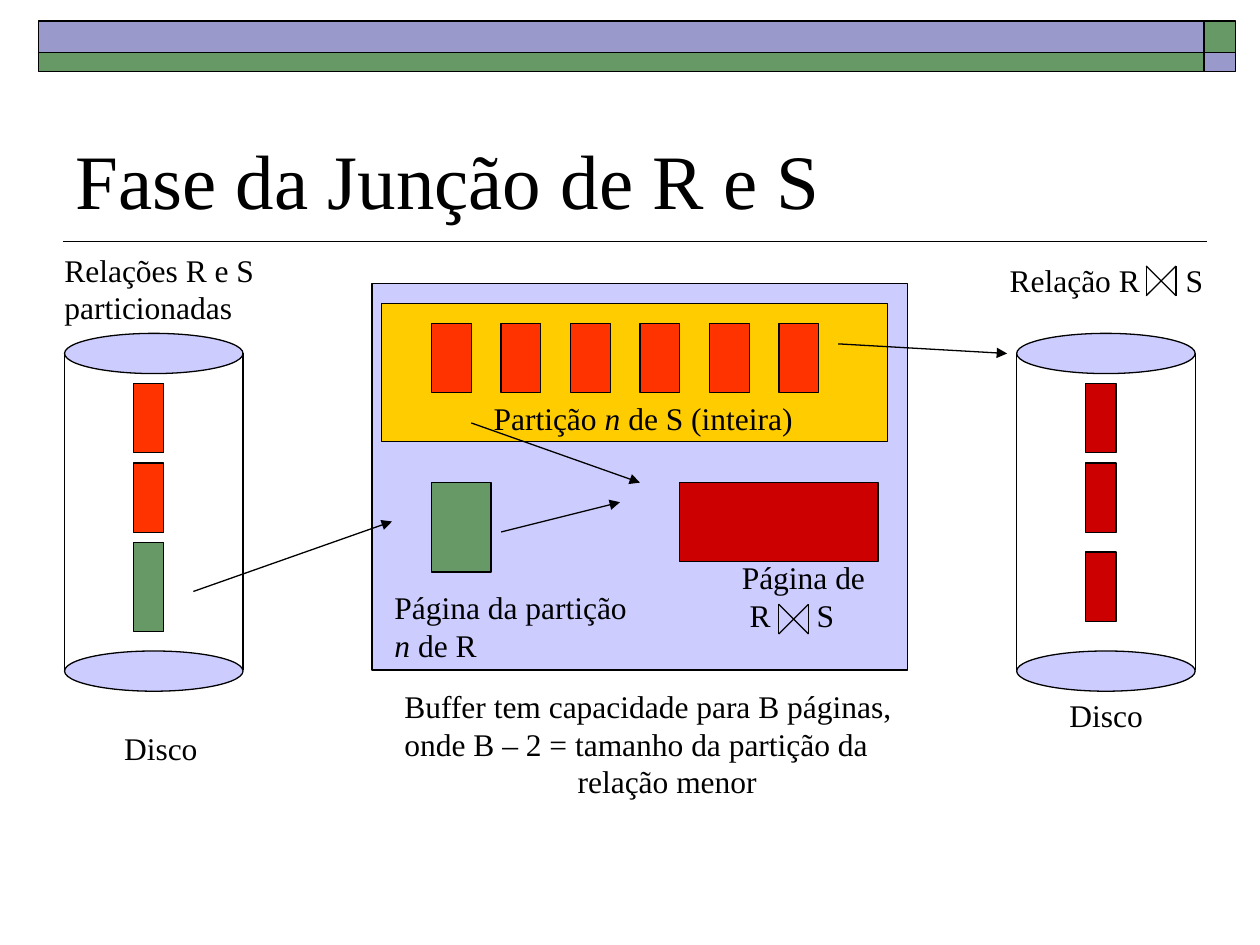
from lxml import etree
from pptx import Presentation
from pptx.dml.color import RGBColor
from pptx.enum.shapes import MSO_CONNECTOR as CONNECTOR, MSO_SHAPE as SHAPE
from pptx.enum.text import MSO_ANCHOR as ANCHOR, MSO_AUTO_SIZE as AUTO_SIZE, PP_ALIGN as ALIGN
from pptx.oxml.ns import qn
from pptx.util import Pt

FONT = "Times New Roman"
COLORS = {
    "ink": "000000",
    "violet": "9999CC",
    "lavender": "CCCCFF",
    "green": "669966",
    "yellow": "FFCC00",
    "orange": "FF3300",
    "red": "CC0000",
}


def color(name):
    return RGBColor.from_string(COLORS[name])


def add_box(slide, left, top, width, height, fill, kind=SHAPE.RECTANGLE, weight=0.75):
    shape = slide.shapes.add_shape(kind, Pt(left), Pt(top), Pt(width), Pt(height))
    shape.shadow.inherit = False
    shape.fill.solid()
    shape.fill.fore_color.rgb = color(fill)
    shape.line.color.rgb = color("ink")
    shape.line.width = Pt(weight)


def add_line(slide, x1, y1, x2, y2, arrow=False, weight=0.75):
    line = slide.shapes.add_connector(CONNECTOR.STRAIGHT, Pt(x1), Pt(y1), Pt(x2), Pt(y2))
    line.line.color.rgb = color("ink")
    line.line.width = Pt(weight)
    properties = line._element.spPr
    if arrow:
        etree.SubElement(properties.find(qn("a:ln")), qn("a:tailEnd"), type="triangle")
    etree.SubElement(properties, qn("a:effectLst"))


def style(paragraph, size):
    paragraph.alignment = ALIGN.LEFT
    paragraph.font.name = FONT
    paragraph.font.size = Pt(size)
    paragraph.font.color.rgb = color("ink")


def add_text(slide, left, top, width, lines, last_indent=0):
    """Each line is a list of runs; the run "n" is a variable, in italics."""
    height = 7.2 + 21.6 * len(lines)
    box = slide.shapes.add_textbox(Pt(left), Pt(top), Pt(width), Pt(height))
    frame = box.text_frame
    frame.word_wrap = True
    for index, runs in enumerate(lines):
        paragraph = frame.add_paragraph() if index else frame.paragraphs[0]
        for text in runs:
            run = paragraph.add_run()
            run.text = text
            if text == "n":
                run.font.italic = True
        style(paragraph, 18)
    if last_indent:
        paragraph._p.get_or_add_pPr().set("marL", str(Pt(last_indent)))


def add_title(slide, text):
    title = slide.shapes.title
    title.left, title.top, title.width, title.height = Pt(36), Pt(42), Pt(648), Pt(90)
    frame = title.text_frame
    frame.text = text
    frame.vertical_anchor = ANCHOR.BOTTOM
    frame.auto_size = AUTO_SIZE.NONE
    style(frame.paragraphs[0], 44)


def add_header(slide):
    add_line(slide, 36, 138, 690, 138, weight=1)
    for left, width, fills in ((22, 666, ("violet", "green")),
                               (688, 18, ("green", "violet"))):
        for top, height, fill in zip((12, 30), (18, 11), fills):
            add_box(slide, left, top, width, height, fill, weight=1)


def add_disk(slide, left, pages):
    """A cylinder holding pages, each given as top, height and fill."""
    width, cap = 102, 23
    for top in (190.5, 372):
        add_box(slide, left, top, width, cap, "lavender", SHAPE.OVAL)
    for x in (left, left + width):
        add_line(slide, x, 202, x, 383)
    for top, height, fill in pages:
        add_box(slide, left + 39.5, top, 17.3, height, fill)


def add_join_sign(slide, left, top):
    right, bottom = left + 17, top + 17
    for x in (left, right):
        add_line(slide, x, top, x, bottom)
    add_line(slide, left, top, right, bottom)
    add_line(slide, left, bottom, right, top)


def add_buffer(slide):
    add_box(slide, 212.5, 162, 306, 221, "lavender")
    add_box(slide, 218, 173.5, 289, 79, "yellow")
    for index in range(6):
        add_box(slide, 246.6 + 39.7 * index, 184.7, 22.7, 39.7, "orange")
    add_box(slide, 246.6, 275.8, 34, 51, "green")
    add_box(slide, 388.3, 275.8, 113.5, 45, "red")


def main():
    presentation = Presentation()
    presentation.slide_width, presentation.slide_height = Pt(720), Pt(540)
    slide = presentation.slides.add_slide(presentation.slide_layouts[5])

    add_header(slide)
    add_title(slide, "Fase da Junção de R e S")

    # Memory buffer between the two disks
    add_buffer(slide)
    add_disk(slide, 36.9, [(219, 39.7, "orange"), (264.5, 39.7, "orange"),
                           (309.8, 51, "green")])
    add_disk(slide, 581, [(219, 39.7, "red"), (264.5, 39.7, "red"),
                          (315.5, 39.7, "red")])

    # Labels
    add_text(slide, 29.7, 139.7, 126, [["Relações R e S"], ["particionadas"]])
    add_text(slide, 63.8, 413.3, 62, [["Disco"]])
    add_text(slide, 604, 394.3, 62, [["Disco"]])
    add_text(slide, 275, 224.3, 195, [["Partição ", "n", " de S (inteira)"]])
    add_text(slide, 218.3, 332.5, 156, [["Página da partição"], ["n", " de R"]])
    add_text(slide, 224, 389, 298, [["Buffer tem capacidade para B páginas,"],
                                    ["onde B – 2 = tamanho da partição da"],
                                    ["relação menor"]], last_indent=99)

    # Join of R and S, on disk and in its output page
    add_text(slide, 569.9, 145.4, 97, [["Relação R"]])
    add_join_sign(slide, 655, 152)
    add_text(slide, 670.5, 145.4, 28, [["S"]])
    add_text(slide, 416.8, 315.3, 89, [["Página de"], ["R"]], last_indent=4.5)
    add_join_sign(slide, 445, 345.3)
    add_text(slide, 459.6, 337, 28, [["S"]])

    # Data flow
    for start, end in (((110.5, 338), (224, 298)), ((479, 196.5), (575.5, 202)),
                       ((269.3, 241.7), (365.7, 275.8)), ((286.4, 304), (354.3, 287))):
        add_line(slide, *start, *end, arrow=True)

    presentation.save("out.pptx")


if __name__ == "__main__":
    main()
